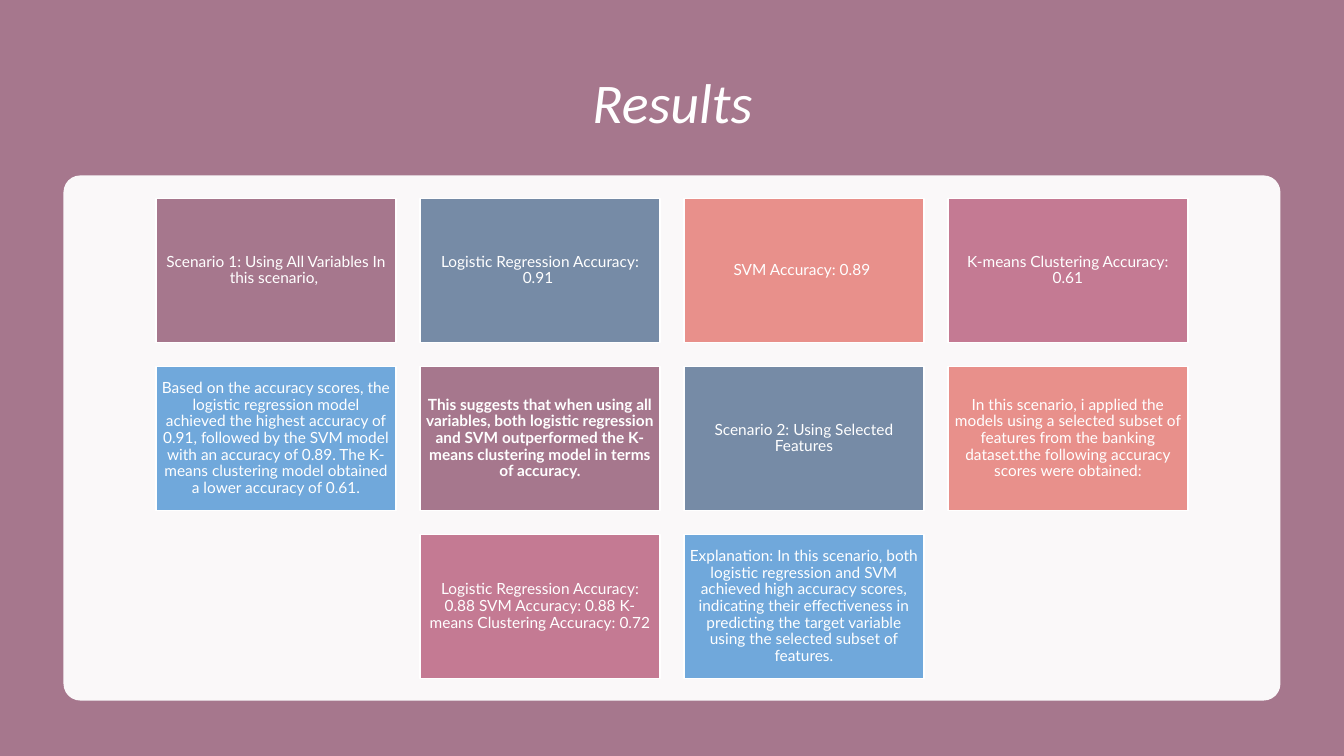
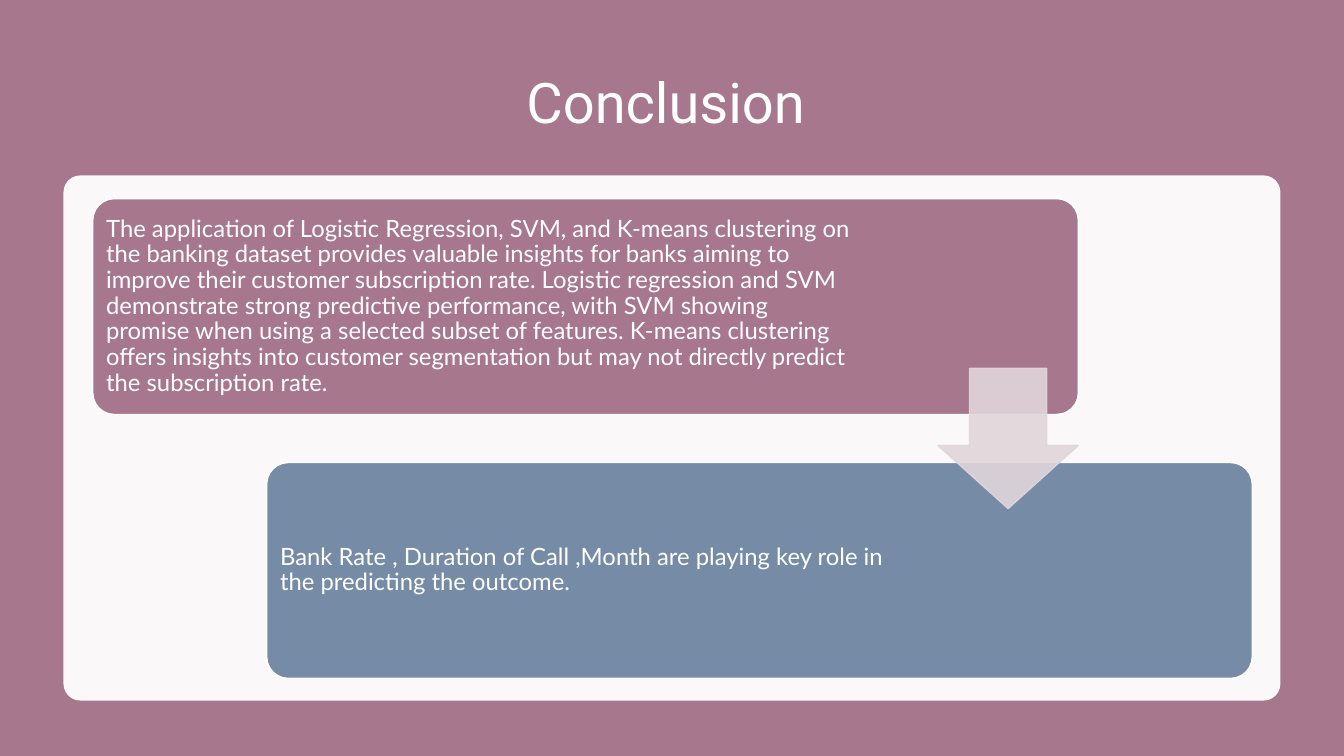
from lxml import etree
from pptx import Presentation
from pptx.dml.color import RGBColor
from pptx.enum.shapes import MSO_SHAPE
from pptx.enum.text import MSO_ANCHOR, PP_ALIGN
from pptx.oxml.ns import qn
from pptx.util import Inches, Pt

RECTANGLE = MSO_SHAPE.RECTANGLE
ROUNDED = MSO_SHAPE.ROUNDED_RECTANGLE
DOWN_ARROW = MSO_SHAPE.DOWN_ARROW
MIDDLE = MSO_ANCHOR.MIDDLE
CENTER, LEFT = PP_ALIGN.CENTER, PP_ALIGN.LEFT

COLORS = {
    "white": "FFFFFF",
    "plum": "A6778D",
    "slate": "768BA6",
    "coral": "E8908B",
    "rose": "C47A93",
    "sky": "70A8DB",
    "mist": "E1D6DB",
}
CARD_CYCLE = ["plum", "slate", "coral", "rose", "sky"]
BODY_FONT = "Lato"

WIDTH, HEIGHT = 13.33, 7.5
TITLE_ONLY = 5
TITLE_AREA = (0.92, 0.5, 11.5, 1.1)
PANEL_AREA = (0.63, 1.74, 12.07, 5.21)
BODY_LEFT, BODY_TOP, BODY_WIDTH, BODY_HEIGHT = 0.92, 1.97, 11.5, 4.76

RESULTS = [
    "Scenario 1: Using All Variables In this scenario, ",
    "Logistic Regression Accuracy: 0.91 ",
    "SVM Accuracy: 0.89 ",
    "K-means Clustering Accuracy: 0.61",
    "Based on the accuracy scores, the logistic regression model achieved the "
    "highest accuracy of 0.91, followed by the SVM model with an accuracy of 0.89. "
    "The K-means clustering model obtained a lower accuracy of 0.61.",
    "This suggests that when using all variables, both logistic regression and SVM "
    "outperformed the K-means clustering model in terms of accuracy.",
    "Scenario 2: Using Selected Features",
    "In this scenario, i applied the models using a selected subset of features from "
    "the banking dataset.the following accuracy scores were obtained:",
    "Logistic Regression Accuracy: 0.88 SVM Accuracy: 0.88 "
    "K-means Clustering Accuracy: 0.72",
    "Explanation: In this scenario, both logistic regression and SVM achieved high "
    "accuracy scores, indicating their effectiveness in predicting the target "
    "variable using the selected subset of features.",
]
KEY_RESULT = 5

FINDING = (
    "The application of Logistic Regression, SVM, and K-means clustering on the "
    "banking dataset provides valuable insights for banks aiming to improve their "
    "customer subscription rate. Logistic regression and SVM demonstrate strong "
    "predictive performance, with SVM showing promise when using a selected subset "
    "of features. K-means clustering offers insights into customer segmentation but "
    "may not directly predict the subscription rate."
)
KEY_FACTORS = (
    "Bank Rate , Duration of Call ,Month are playing key role in the predicting "
    "the outcome."
)


def set_solid(fill_format, color):
    fill_format.solid()
    fill_format.fore_color.rgb = RGBColor.from_string(COLORS[color])


class SlideBuilder:
    """Holds the deck, its style and the slide being built."""

    def __init__(self):
        self.deck = Presentation()
        self.deck.slide_width = Inches(WIDTH)
        self.deck.slide_height = Inches(HEIGHT)
        self.slide = None

    def new_slide(self, title, font, italic=False):
        layout = self.deck.slide_layouts[TITLE_ONLY]
        self.slide = self.deck.slides.add_slide(layout)
        set_solid(self.slide.background.fill, "plum")

        box = self.slide.shapes.title
        box.left, box.top, box.width, box.height = map(Inches, TITLE_AREA)
        self.set_text(box, title, font, 40, CENTER, italic=italic)
        self.shape(ROUNDED, PANEL_AREA, "white", 95, adjustments=[0.032])

    def shape(self, kind, area, color, opacity=100, line=None, adjustments=()):
        """Add a shape; opacity is a percentage for both fill and line."""
        shape = self.slide.shapes.add_shape(kind, *map(Inches, area))
        shape.shadow.inherit = False
        for index, value in enumerate(adjustments):
            shape.adjustments[index] = value
        set_solid(shape.fill, color)
        if line:
            set_solid(shape.line.fill, line)
            shape.line.width = Pt(1)
        else:
            shape.line.fill.background()
        if opacity < 100:
            for paint in shape.element.iter(qn("a:srgbClr")):
                etree.SubElement(paint, qn("a:alpha"), val=str(opacity * 1000))
        return shape

    def set_text(self, box, text, font, size, alignment, bold=False, italic=False):
        frame = box.text_frame
        frame.word_wrap = True
        frame.vertical_anchor = MIDDLE
        frame.text = text
        paragraph = frame.paragraphs[0]
        paragraph.alignment = alignment
        paragraph.line_spacing = 0.9
        paragraph.font.name = font
        paragraph.font.size = Pt(size)
        paragraph.font.bold = bold
        paragraph.font.italic = italic
        paragraph.font.color.rgb = RGBColor.from_string(COLORS["white"])

    def set_margins(self, box, margin, right=None):
        frame = box.text_frame
        frame.margin_left = frame.margin_top = frame.margin_bottom = Inches(margin)
        frame.margin_right = Inches(margin if right is None else right)

    def card_grid(self, texts, columns, bold_index):
        """Fill three rows with cards, centring each row on the slide."""
        width = BODY_HEIGHT / 2
        height, gap = 0.6 * width, 0.1 * width
        for index, text in enumerate(texts):
            row, column = divmod(index, columns)
            count = min(columns, len(texts) - row * columns)
            row_left = (WIDTH - count * (width + gap) + gap) / 2
            area = (row_left + column * (width + gap),
                    BODY_TOP + row * (height + gap), width, height)
            color = CARD_CYCLE[index % len(CARD_CYCLE)]
            card = self.shape(RECTANGLE, area, color, line="white")
            self.set_margins(card, 0.05)
            self.set_text(card, text, BODY_FONT, 11, CENTER, bold=index == bold_index)

    def staircase(self, steps):
        """Set two steps in opposite corners of the body, joined by an arrow."""
        width, height = 0.85 * BODY_WIDTH, 0.45 * BODY_HEIGHT
        for index, (text, color, right_margin) in enumerate(steps):
            area = (BODY_LEFT + index * (BODY_WIDTH - width),
                    BODY_TOP + index * (BODY_HEIGHT - height), width, height)
            step = self.shape(ROUNDED, area, color, line="white", adjustments=[0.1])
            self.set_margins(step, 0.07, right_margin)
            self.set_text(step, text, BODY_FONT, 17, LEFT)

        size = 0.65 * height
        area = (BODY_LEFT + width - size,
                BODY_TOP + (BODY_HEIGHT - size) / 2, size, size)
        self.shape(DOWN_ARROW, area, "mist", 90, "mist", [0.55, 0.45])


def main():
    builder = SlideBuilder()

    builder.new_slide("Results", "Calibri", italic=True)
    builder.card_grid(RESULTS, columns=4, bold_index=KEY_RESULT)

    builder.new_slide("Conclusion ", "Roboto")
    builder.staircase([(FINDING, "plum", 2.17), (KEY_FACTORS, "slate", 3.2)])

    builder.deck.save("out.pptx")


if __name__ == "__main__":
    main()
